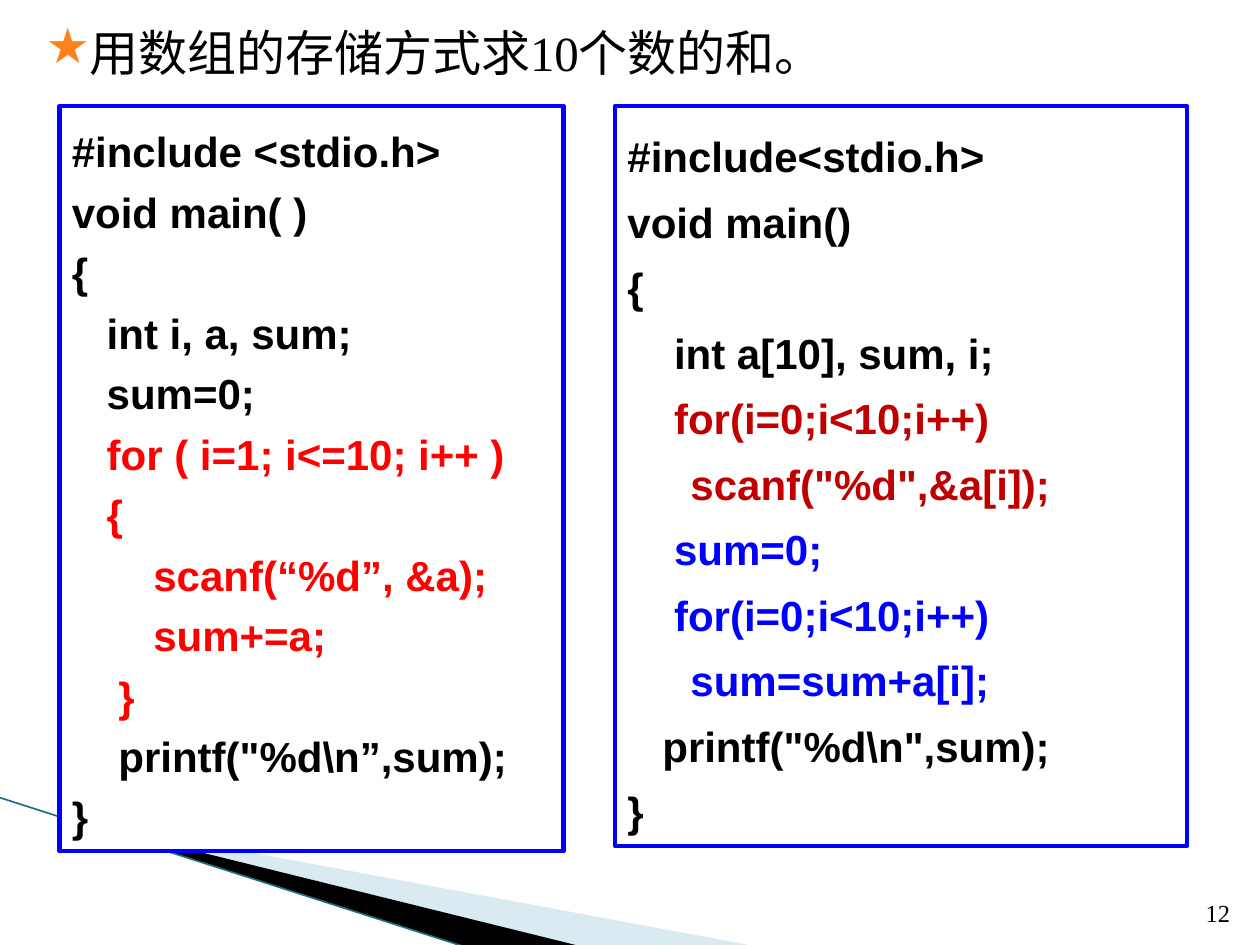
from lxml.etree import SubElement
from pptx import Presentation
from pptx.dml.color import RGBColor
from pptx.enum.shapes import MSO_CONNECTOR, MSO_SHAPE
from pptx.enum.text import MSO_ANCHOR, PP_ALIGN
from pptx.oxml.ns import qn
from pptx.util import Pt

BLACK = RGBColor(0, 0, 0)
WHITE = RGBColor(255, 255, 255)
RED = RGBColor(255, 0, 0)
DARK_RED = RGBColor(0xC0, 0, 0)
BLUE = RGBColor(0, 0, 255)
PALE_BLUE = RGBColor(0xA0, 0xCB, 0xDC)
TEAL = RGBColor(0x1F, 0x6F, 0x82)

# Each group of code lines shares one colour
SCALAR_CODE = [
    (BLACK, ["#include <stdio.h>", "void main( )", "{",
             "   int i, a, sum;", "   sum=0;"]),
    (RED, ["   for ( i=1; i<=10; i++ )", "   {",
           "       scanf(“%d”, &a);", "       sum+=a;", "    }"]),
    (BLACK, ['    printf("%d\\n”,sum);', "}"]),
]
ARRAY_CODE = [
    (BLACK, ["#include<stdio.h>", "void main()", "{",
             "    int a[10], sum, i;"]),
    (DARK_RED, ["    for(i=0;i<10;i++)", '\tscanf("%d",&a[i]);']),
    (BLUE, ["    sum=0;", "    for(i=0;i<10;i++)", "\tsum=sum+a[i];"]),
    (BLACK, ['   printf("%d\\n",sum);', "}"]),
]


def write_text(para, text, *, size, font="Times New Roman", color=BLACK,
               bold=False, align=PP_ALIGN.LEFT, spacing=None):
    para.alignment = align
    para.line_spacing = spacing
    span = para.add_run()
    span.text = text
    span.font.size = Pt(size)
    span.font.name = font
    span.font.bold = bold
    span.font.color.rgb = color


def add_star_bullet(para, indent):
    properties = para._p.get_or_add_pPr()
    properties.set("marL", str(Pt(indent)))
    properties.set("indent", "0")
    color = SubElement(properties, qn("a:buClr"))
    SubElement(color, qn("a:srgbClr"), val="FF8119")
    SubElement(properties, qn("a:buChar"), char="★")


def add_title(page, text):
    title = page.shapes.title
    title.left, title.top, title.width, title.height = Pt(3), Pt(9.5), Pt(648), Pt(51)
    frame = title.text_frame
    frame.word_wrap = True
    frame.vertical_anchor = MSO_ANCHOR.TOP
    para = frame.paragraphs[0]
    add_star_bullet(para, 16)
    write_text(para, text, size=28)


def add_wedge(page, points, color, opacity=100):
    builder = page.shapes.build_freeform(*points[0], scale=Pt(1))
    builder.add_line_segments(points[1:], close=True)
    wedge = builder.convert_to_shape()
    wedge.shadow.inherit = False
    wedge.fill.solid()
    wedge.fill.fore_color.rgb = color
    wedge.line.fill.background()
    if opacity < 100:
        fill_color = wedge._element.spPr.find(".//" + qn("a:srgbClr"))
        SubElement(fill_color, qn("a:alpha"), val=str(opacity * 1000))


def add_line(page, start, end, color, width):
    line = page.shapes.add_connector(
        MSO_CONNECTOR.STRAIGHT, *map(Pt, start), *map(Pt, end))
    line.line.color.rgb = color
    line.line.width = Pt(width)
    SubElement(line._element.spPr, qn("a:effectLst"))


def add_code_box(page, groups, left, top, width, height, *, border, spacing):
    box = page.shapes.add_shape(
        MSO_SHAPE.RECTANGLE, Pt(left), Pt(top), Pt(width), Pt(height))
    box.shadow.inherit = False
    box.fill.solid()
    box.fill.fore_color.rgb = WHITE
    box.line.color.rgb = BLUE
    box.line.width = Pt(border)
    frame = box.text_frame
    frame.word_wrap = True
    frame.vertical_anchor = MSO_ANCHOR.MIDDLE
    lines = [(color, text) for color, texts in groups for text in texts]
    for number, (color, text) in enumerate(lines):
        para = frame.add_paragraph() if number else frame.paragraphs[0]
        write_text(para, text, size=24, font="Arial", color=color,
                   bold=True, spacing=spacing)


def add_page_number(page, text):
    box = page.shapes.add_textbox(Pt(681), Pt(504.5), Pt(29), Pt(29))
    frame = box.text_frame
    frame.word_wrap = True
    frame.vertical_anchor = MSO_ANCHOR.BOTTOM
    write_text(frame.paragraphs[0], text, size=14, align=PP_ALIGN.RIGHT)


def main():
    deck = Presentation()
    deck.slide_width, deck.slide_height = Pt(720), Pt(540)
    page = deck.slides.add_slide(deck.slide_layouts[5])

    # Corner decoration
    add_wedge(page, [(39.5, 468.5), (428.5, 540.5), (328.5, 540.5)],
              PALE_BLUE, opacity=40)
    add_wedge(page, [(38, 467.5), (329, 540.5), (268, 541.5)], BLACK)
    add_line(page, (-1, 455.5), (267, 541.5), TEAL, 0.95)

    # Heading, the two programs and the page number
    add_title(page, "用数组的存储方式求10个数的和。")
    add_code_box(page, SCALAR_CODE, 34, 60.5, 288, 426, border=2.5, spacing=1.2)
    add_code_box(page, ARRAY_CODE, 351.5, 60.5, 327, 423, border=2.25, spacing=1.3)
    add_page_number(page, "12")

    deck.save("out.pptx")


if __name__ == "__main__":
    main()
